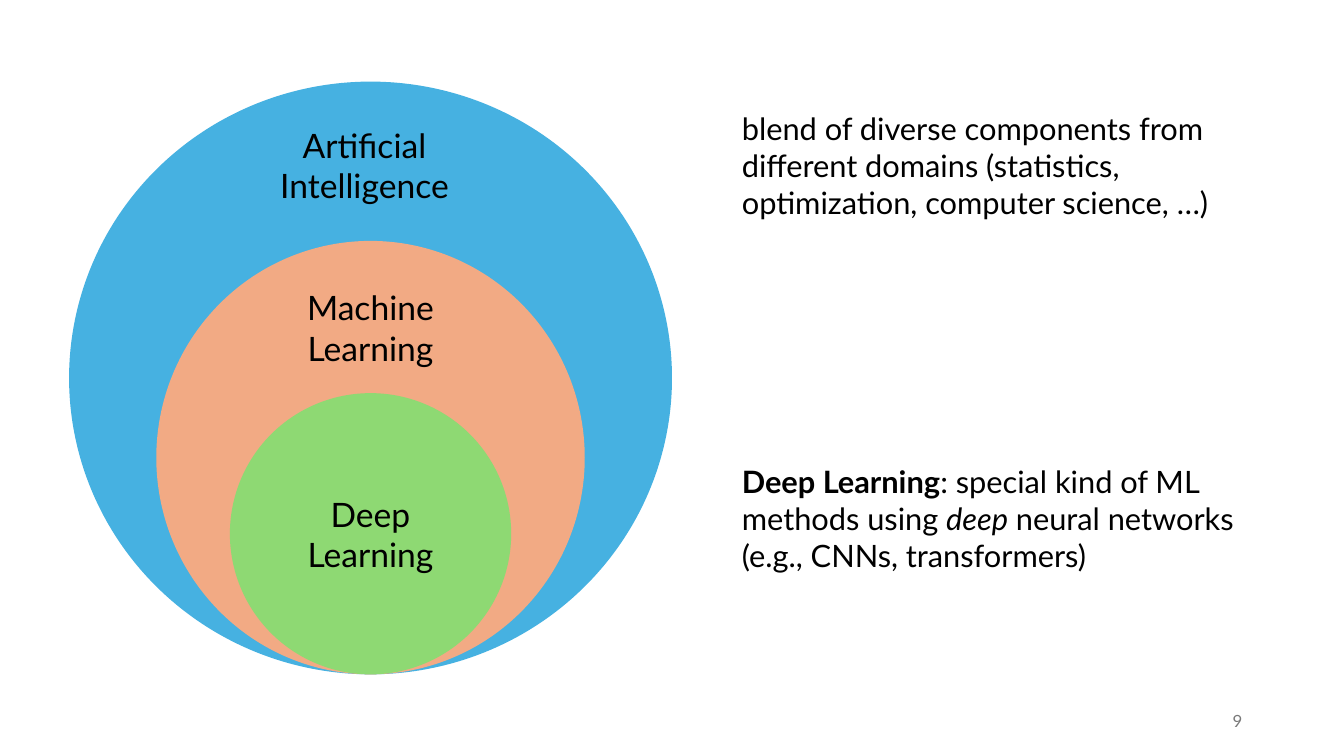
"""Build a slide of nested circles for AI, machine learning and deep learning."""
from pptx import Presentation
from pptx.dml.color import RGBColor
from pptx.enum.shapes import MSO_SHAPE
from pptx.enum.text import MSO_ANCHOR, PP_ALIGN
from pptx.util import Inches, Pt

ELLIPSE = MSO_SHAPE.OVAL
LEFT, CENTER, RIGHT = PP_ALIGN.LEFT, PP_ALIGN.CENTER, PP_ALIGN.RIGHT
TOP, MIDDLE = MSO_ANCHOR.TOP, MSO_ANCHOR.MIDDLE
WIDTH, HEIGHT = Inches(13.33), Inches(7.5)
FONT = "Lato"
BLACK, GRAY = "000000", "797979"
CIRCLE_CENTER, CIRCLE_BOTTOM = 27.57, 89.2
NOTE_LEFT, NOTE_HEIGHT = 54.46, 16.13


def color(value):
    """Turn a hex string into a colour."""
    return RGBColor.from_string(value)


def place(left, top, width, height):
    """Turn percentages of the slide into a position and a size."""
    return (int(WIDTH * left / 100), int(HEIGHT * top / 100),
            int(WIDTH * width / 100), int(HEIGHT * height / 100))


def write(shape, paragraphs, size, align=LEFT, anchor=TOP, ink=BLACK):
    """Fill a shape with paragraphs, each a list of (text, style) spans."""
    frame = shape.text_frame
    frame.word_wrap = True
    frame.vertical_anchor = anchor
    for index, spans in enumerate(paragraphs):
        para = frame.paragraphs[0] if index == 0 else frame.add_paragraph()
        para.alignment = align
        para.font.name, para.font.size = FONT, Pt(size)
        para.font.color.rgb = color(ink)
        for text, style in spans:
            span = para.add_run()
            span.text = text
            if style == "bold":
                span.font.bold = True
            elif style == "italic":
                span.font.italic = True


def add_text(page, area, spans, size, **options):
    """Add a text box with one paragraph."""
    box = page.shapes.add_textbox(*place(*area))
    write(box, [spans], size, **options)


def add_circle(page, width, height, fill):
    """Add a circle that rests on the common bottom point."""
    area = place(CIRCLE_CENTER - width / 2, CIRCLE_BOTTOM - height, width, height)
    circle = page.shapes.add_shape(ELLIPSE, *area)
    circle.shadow.inherit = False
    circle.fill.solid()
    circle.fill.fore_color.rgb = color(fill)
    circle.line.fill.background()
    return circle


def main():
    """Build and save the deck."""
    deck = Presentation()
    deck.slide_width, deck.slide_height = WIDTH, HEIGHT
    page = deck.slides.add_slide(deck.slide_layouts[6])

    add_circle(page, 44.86, 78.4, "46B1E1")
    add_circle(page, 31.88, 57.33, "F2AA84")
    deep_circle = add_circle(page, 20.93, 37.2, "8ED973")
    write(deep_circle, [[("Deep", "")], [("Learning", "")]], 24,
          align=CENTER, anchor=MIDDLE)
    add_text(page, (21, 37.33, 13.13, 12.13), [("Machine Learning", "")], 24,
             align=CENTER)
    add_text(page, (19.8, 15.87, 14.63, 12.13),
             [("Artificial Intelligence", "")], 24, align=CENTER)

    add_text(page, (NOTE_LEFT, 13.87, 36.83, NOTE_HEIGHT),
             [("blend of diverse components from different domains "
               "(statistics, optimization, computer science, …)", "")], 22)
    add_text(page, (NOTE_LEFT, 60.53, 38.71, NOTE_HEIGHT),
             [("Deep Learning", "bold"),
              (": special kind of ML methods using ", ""),
              ("deep", "italic"),
              (" neural networks (e.g., CNNs, transformers)", "")], 22)
    add_text(page, (70.67, 92.67, 22.5, 5.33), [("9", "")], 12,
             align=RIGHT, anchor=MIDDLE, ink=GRAY)
    deck.save("out.pptx")


if __name__ == "__main__":
    main()
